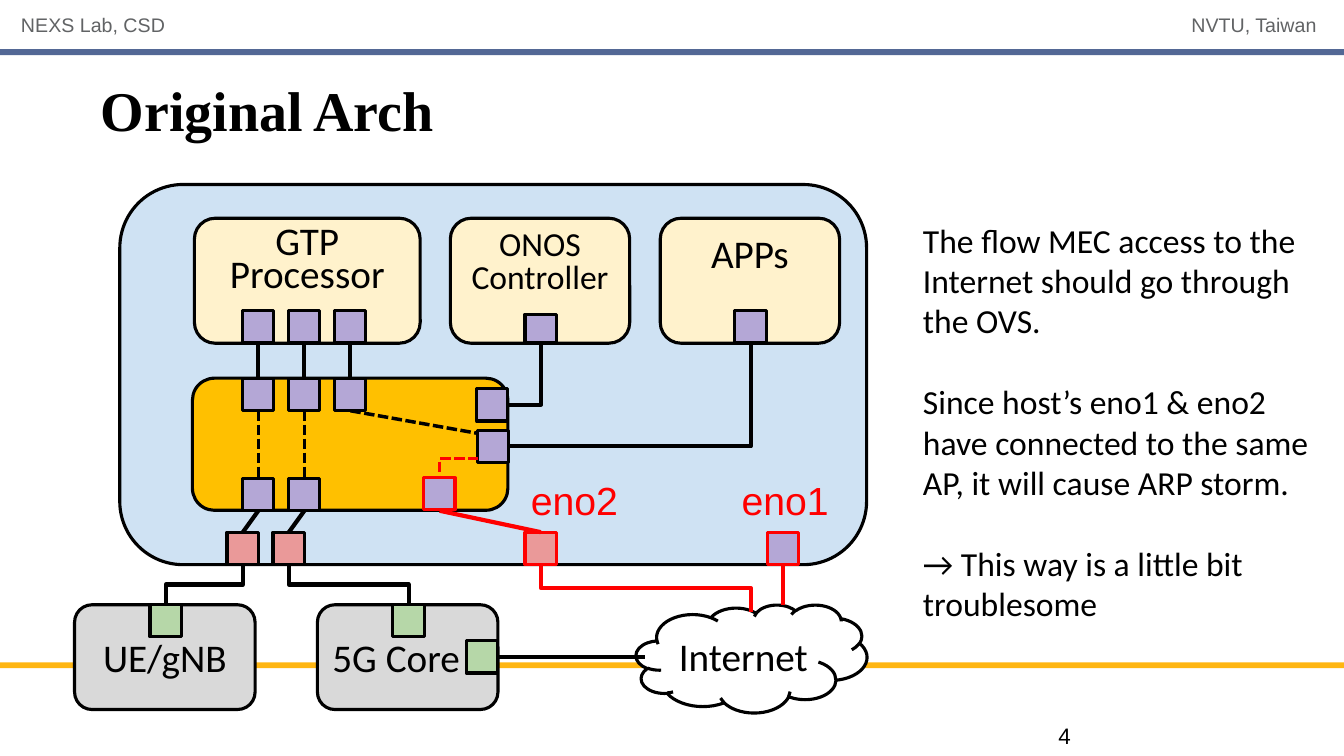
from dataclasses import dataclass
from math import copysign

from lxml import etree
from pptx import Presentation
from pptx import util as u
from pptx.dml.color import RGBColor
from pptx.enum import dml, shapes, text
from pptx.oxml.ns import qn


@dataclass(frozen=True)
class Theme:
    black: str = "000000"
    red: str = "FF0000"
    white: str = "FFFFFF"
    header: str = "616365"
    bar: str = "536895"
    footer: str = "FFB612"
    grey: str = "D9D9D9"
    host: str = "CFE2F3"
    switch: str = "FFC000"
    service: str = "FFF2CC"
    purple: str = "B4A7D6"
    pink: str = "EA9999"
    green: str = "B6D7A8"
    body_font: str = "Calibri"
    label_font: str = "Arial"
    title_font: str = "Times New Roman"
    title_size: float = 40
    large: float = 28
    medium: float = 24
    page_size: float = 16
    header_size: float = 14
    outline: float = 2.25
    link: float = 3
    flow: float = 2.5


SHAPE = shapes.MSO_SHAPE
LINK = shapes.MSO_CONNECTOR
ALIGN = text.PP_ALIGN
ANCHOR = text.MSO_ANCHOR


class Diagram:
    """Draws on one slide; every length is in centimetres."""

    def __init__(self, page, theme):
        self.page, self.theme = page, theme

    def add_lines(self, frame, lines, size, font=None, color=None, bold=False,
                  align=ALIGN.LEFT, anchor=ANCHOR.TOP, spacing=None, gap=0):
        frame.vertical_anchor = anchor
        for index, line in enumerate(lines):
            para = frame.paragraphs[0] if index == 0 else frame.add_paragraph()
            para.alignment = align
            if spacing:
                para.line_spacing = u.Pt(spacing)
            if index:
                para.space_before = u.Pt(gap)
            span = para.add_run()
            span.text = line
            span.font.size = u.Pt(size)
            span.font.name = font or self.theme.body_font
            span.font.bold = bold
            span.font.color.rgb = RGBColor.from_string(color or self.theme.black)

    def label(self, place, lines, size, wrap=True, inset=True, **style):
        frame = self.page.shapes.add_textbox(*map(u.Cm, place)).text_frame
        frame.word_wrap = wrap
        if not inset:
            frame.margin_left = frame.margin_right = 0
            frame.margin_top = frame.margin_bottom = 0
        self.add_lines(frame, lines, size, **style)

    def block(self, kind, place, fill, line=None, caption=None, size=None, **style):
        box = self.page.shapes.add_shape(kind, *map(u.Cm, place))
        box.shadow.inherit = False
        box.fill.solid()
        box.fill.fore_color.rgb = RGBColor.from_string(fill)
        if line:
            box.line.color.rgb = RGBColor.from_string(line)
            box.line.width = u.Pt(self.theme.outline)
        else:
            box.line.fill.background()
        if caption:
            box.text_frame.word_wrap = True
            self.add_lines(box.text_frame, [caption], size, **style)

    def port(self, center, top, fill, line=None, height=0.81):
        self.block(SHAPE.RECTANGLE, (center - 0.4, top, 0.79, height), fill,
                   line or self.theme.black)

    def wire(self, start, end, color=None, width=None, dashed=False, kind=LINK.STRAIGHT):
        wire = self.page.shapes.add_connector(kind, *map(u.Cm, (*start, *end)))
        wire.line.color.rgb = RGBColor.from_string(color or self.theme.black)
        wire.line.width = u.Pt(width or self.theme.link)
        if dashed:
            wire.line.dash_style = dml.MSO_LINE.SQUARE_DOT
        etree.SubElement(wire._element.spPr, qn("a:effectLst"))
        return wire

    def corner(self, start, end, **style):
        """One bend: across, then up or down."""
        wire = self.wire(start, end, kind=LINK.ELBOW, **style)
        geometry = wire._element.spPr.find(qn("a:prstGeom"))
        geometry.set("prst", "bentConnector2")

    def step(self, start, end, **style):
        """Two bends: down, across, down; a turned elbow about its centre."""
        (x1, y1), (x2, y2) = start, end
        middle_x, middle_y = (x1 + x2) / 2, (y1 + y2) / 2
        side = copysign(1, x2 - x1)
        half_w, half_h = side * (y2 - y1) / 2, abs(x2 - x1) / 2
        wire = self.wire((middle_x + half_w, middle_y - half_h),
                         (middle_x - half_w, middle_y + half_h),
                         kind=LINK.ELBOW, **style)
        turn = int(180 + 90 * side) * 60000
        wire._element.spPr.find(qn("a:xfrm")).set("rot", str(turn))


def draw_frame(art, t):
    # Header, footer bar, page number and title
    for top, fill in ((16.69, t.footer), (1.24, t.bar)):
        art.block(SHAPE.RECTANGLE, (0, top, 33.87, 0.15), fill)
    for left, width, words, align in ((0.28, 15, "NEXS Lab, CSD", ALIGN.LEFT),
                                      (26.06, 7.37, "NVTU, Taiwan", ALIGN.RIGHT)):
        art.label((left, 0.23, width, 0.91), [words], t.header_size,
                  font=t.label_font, color=t.header, align=align, spacing=16)
    art.label((26.67, 18.14, 6.78, 0.81), ["4"], t.page_size, inset=False,
              font=t.label_font, anchor=ANCHOR.MIDDLE)
    art.label((2.54, 1.65, 28.78, 2.18), ["Original Arch"], t.title_size, inset=False,
              font=t.title_font, bold=True, anchor=ANCHOR.MIDDLE)


def draw_blocks(art, t):
    # Outside nodes
    for left, name, align in ((1.88, "UE/gNB", ALIGN.CENTER), (8, "5G Core", ALIGN.LEFT)):
        art.block(SHAPE.ROUNDED_RECTANGLE, (left, 15.24, 4.55, 2.64), t.grey, t.black,
                  name, t.large, align=align, anchor=ANCHOR.MIDDLE)
    for center, top in ((4.18, 15.24), (10.3, 15.24), (12.15, 16.15)):
        art.port(center, top, t.green)
    art.block(SHAPE.CLOUD, (16.03, 15.24, 5.82, 2.72), t.white, t.black, "Internet",
              t.large, align=ALIGN.CENTER, anchor=ANCHOR.MIDDLE)

    # Host, switch and services
    art.block(SHAPE.ROUNDED_RECTANGLE, (3.02, 4.65, 18.82, 9.58), t.host, t.black)
    art.block(SHAPE.ROUNDED_RECTANGLE, (4.85, 9.53, 7.95, 3.33), t.switch, t.black)
    for left, width, name, size, spacing in (
            (4.9, 5.69, "GTP Processor", t.large, 24),
            (11.35, 4.52, "ONOS Controller", t.medium, 24),
            (16.64, 4.52, "APPs", t.large, None)):
        art.block(SHAPE.ROUNDED_RECTANGLE, (left, 5.5, width, 3.15), t.service, t.black,
                  name, size, align=ALIGN.CENTER, spacing=spacing)


def draw_links(art, t):
    lanes = [6.51 + 1.16 * lane for lane in range(3)]
    controller, apps, uplink, eno1 = 13.63, 18.92, 11.08, 19.74

    # Service links into the switch
    art.port(controller, 7.92, t.purple, height=0.71)
    art.port(apps, 7.83, t.purple)
    art.corner((12.78, 10.2), (controller, 8.64))
    art.corner((12.83, 11.25), (apps, 8.64))
    for center, top in ((12.43, 10.85), (12.41, 9.8)):
        art.port(center, top, t.purple)
    for lane in lanes:
        art.port(lane, 7.83, t.purple)
        art.port(lane, 9.53, t.purple)
        art.wire((lane, 8.64), (lane, 9.53))

    # Flows through the switch and out of the host
    art.wire((lanes[2], 10.35), (12.04, 10.92), width=t.flow, dashed=True)
    for lane, node in zip(lanes, (4.18, 10.3)):
        outlet = lane - 0.39
        art.port(lane, 12.06, t.purple)
        art.port(outlet, 13.41, t.pink)
        art.wire((lane, 10.35), (lane, 12.06), width=t.flow, dashed=True)
        art.wire((lane, 12.87), (outlet, 13.41))
        art.step((outlet, 14.22), (node, 15.24))
    art.wire((12.52, 16.56), (16.26, 16.56))

    # Red paths to the Internet
    art.port(uplink, 12.04, t.purple, t.red)
    art.corner((12.06, 11.56), (uplink, 12.04), color=t.red, width=t.flow, dashed=True)
    art.port(controller, 13.41, t.pink, t.red)
    art.wire((uplink, 12.87), (controller, 13.41), color=t.red)
    art.step((controller, 14.22), (apps, 15.42), color=t.red)
    art.port(eno1, 13.41, t.purple, t.red)
    art.wire((eno1, 14.22), (eno1, 15.24), color=t.red)
    for left, name in ((13.13, "eno2"), (18.44, "eno1")):
        art.label((left, 11.89, 2.74, 1.45), [name], t.large, wrap=False,
                  font=t.label_font, color=t.red)


def main():
    deck = Presentation()
    deck.slide_width, deck.slide_height = u.Cm(33.87), u.Cm(19.05)
    theme = Theme()
    art = Diagram(deck.slides.add_slide(deck.slide_layouts[6]), theme)
    draw_frame(art, theme)
    draw_blocks(art, theme)
    draw_links(art, theme)

    # Explanation beside the diagram
    art.label((23.01, 5.41, 10.44, 13.59), [
        "The flow MEC access to the Internet should go through the OVS.",
        "Since host’s eno1 & eno2 have connected to the same AP, it will cause ARP storm.",
        "→ This way is a little bit troublesome",
    ], theme.medium, gap=29)
    deck.save("out.pptx")


if __name__ == "__main__":
    main()
